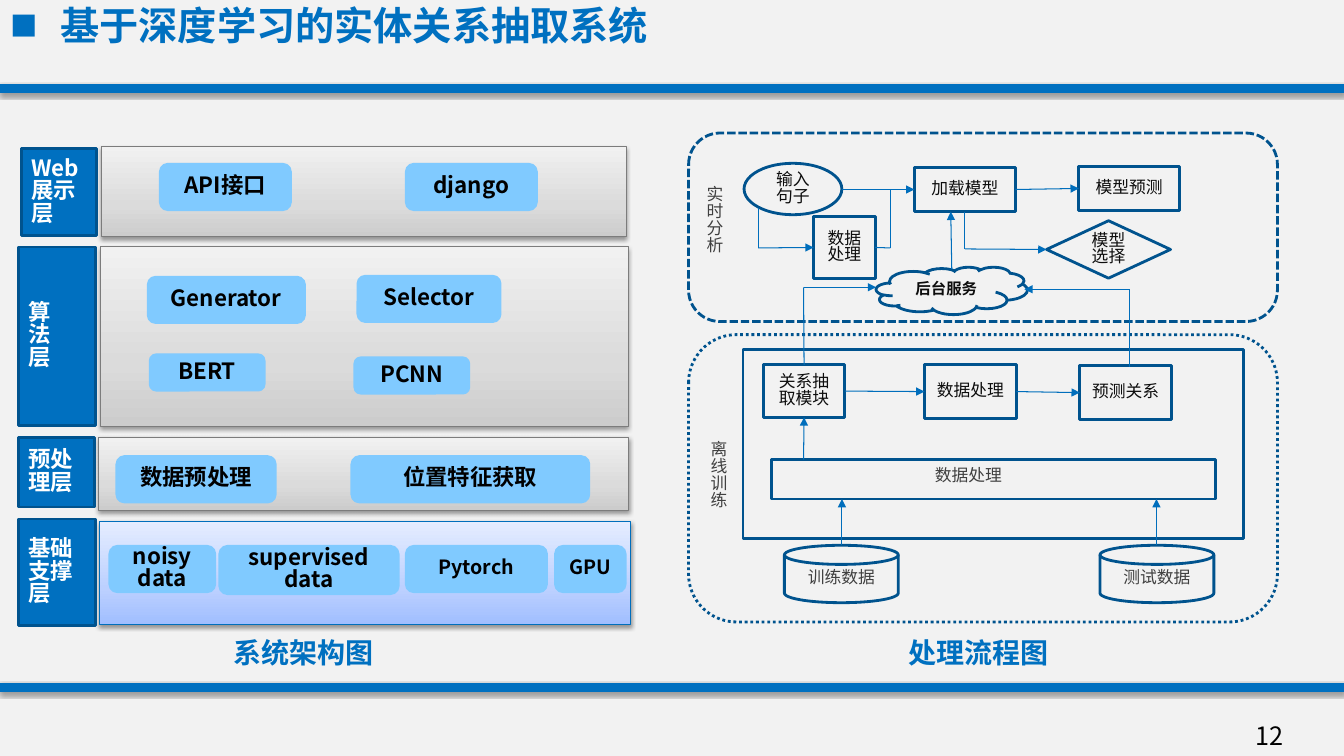
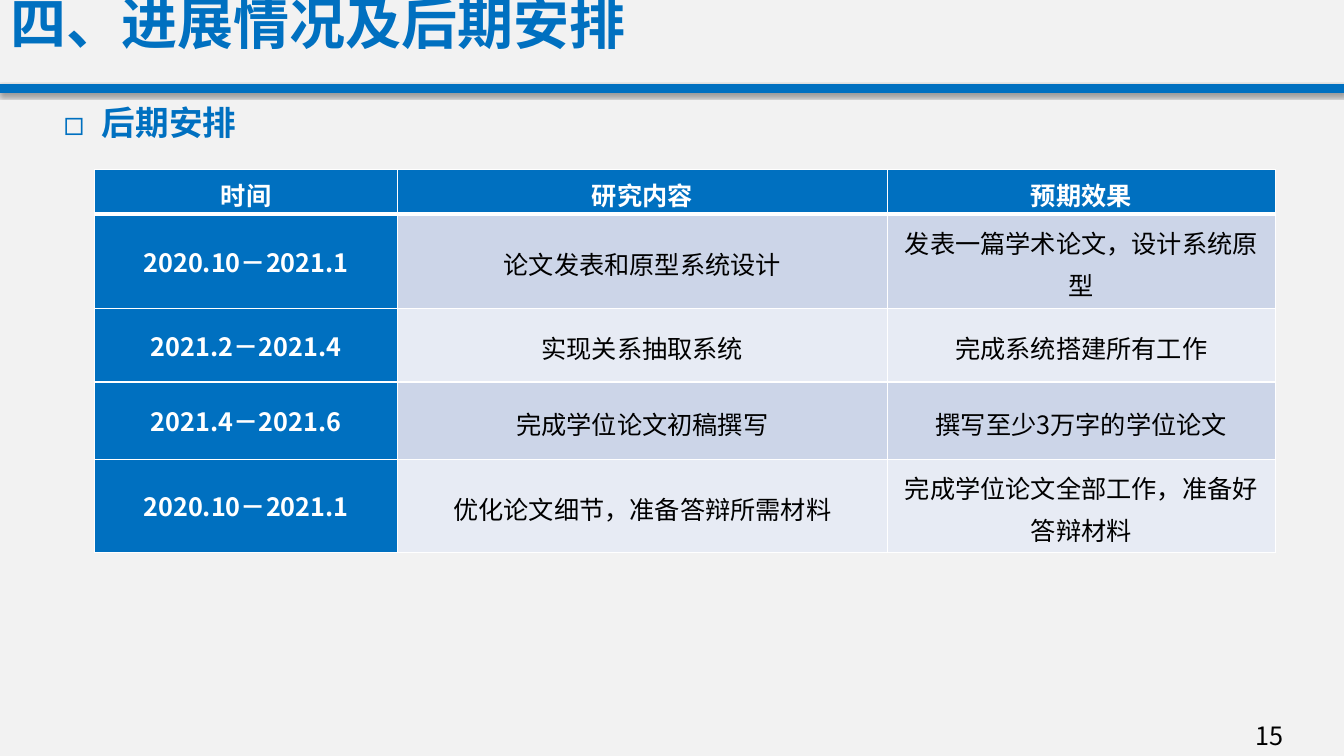
from lxml import etree
from pptx import Presentation
from pptx import util as u
from pptx.dml.color import RGBColor
from pptx.enum import dml, shapes, text
from pptx.oxml.ns import qn

In, Pt = u.Inches, u.Pt
Form, Align, Mid = shapes.MSO_SHAPE, text.PP_ALIGN, text.MSO_ANCHOR
NOTO = "Noto Sans CJK SC"
BLUE, NAVY, THIN, SKY = "0070C0", "00538E", "006EBC", "80CAFF"
WHITE, BLACK, INK, GREY = "FFFFFF", "000000", "0D0D0D", "404040"
STEEL = ["CCCCCC", "DBDBDB", "F1F1F1"]
ICE = ["A0BEFF", "BCD0FF", "E5EDFF"]
TIGHT = 0.83

LAYERS = [
    (["Web展示层"], (0.21, 1.47, 0.75, 0.87), (1.01, 1.45, 5.2, 0.9), STEEL, "7C7C7C", [
        (["API接口"], (1.59, 1.63, 1.29, 0.45), 16),
        (["django"], (4.03, 1.63, 1.29, 0.45), 16)]),
    (["算", "法", "层"], (0.18, 2.45, 0.77, 1.77), (1, 2.45, 5.23, 1.78), STEEL, "7C7C7C", [
        (["Generator"], (1.47, 2.75, 1.55, 0.45), 16),
        (["Selector"], (3.55, 2.74, 1.41, 0.45), 16),
        (["BERT"], (1.49, 3.52, 1.13, 0.35), 16),
        (["PCNN"], (3.52, 3.55, 1.13, 0.35), 16)]),
    (["预处理层"], (0.18, 4.34, 0.76, 0.69), (0.98, 4.34, 5.25, 0.72), STEEL, "7C7C7C", [
        (["数据预处理"], (1.16, 4.53, 1.57, 0.45), 16),
        (["位置特征获取"], (3.49, 4.53, 2.35, 0.45), 16)]),
    (["基础支撑层"], (0.18, 5.15, 0.77, 1.06), (0.99, 5.17, 5.26, 1.03), ICE, THIN, [
        (["noisy data"], (1.09, 5.42, 1.04, 0.45), 16),
        (["supervised", "data"], (2.18, 5.42, 1.77, 0.47), 16),
        (["Pytorch"], (4.03, 5.42, 1.39, 0.45), 14),
        (["GPU"], (5.51, 5.42, 0.69, 0.45), 14)]),
]
FRAMES = [
    (Form.ROUNDED_RECTANGLE, (6.83, 1.32, 5.84, 1.87), dml.MSO_LINE.SQUARE_DOT),
    (Form.ROUNDED_RECTANGLE, (6.83, 3.32, 5.84, 2.85), dml.MSO_LINE.ROUND_DOT),
    (Form.RECTANGLE, (7.37, 3.47, 4.96, 1.87), None),
    (Form.RECTANGLE, (7.65, 4.56, 4.41, 0.39), None),
]
BOXES = [
    (Form.RECTANGLE, "数据处理", (8.07, 2.15, 0.61, 0.61)),
    (Form.RECTANGLE, "加载模型", (9.07, 1.66, 1, 0.44)),
    (Form.RECTANGLE, "模型预测", (10.7, 1.65, 1, 0.44)),
    (Form.FLOWCHART_DECISION, "模型选择", (10.38, 2.19, 1.23, 0.57)),
    (Form.RECTANGLE, "关系抽取模块", (7.57, 3.62, 0.81, 0.52)),
    (Form.RECTANGLE, "数据处理", (9.17, 3.62, 0.91, 0.53)),
    (Form.RECTANGLE, "预测关系", (10.71, 3.63, 0.91, 0.53)),
]
ROUNDS = [
    (Form.OVAL, "输入句子", (7.38, 1.62, 0.97, 0.51), 12, INK, False, NOTO),
    (Form.CLOUD, "后台服务", (8.69, 2.65, 1.5, 0.47), 11, INK, True, "Times New Roman"),
    (Form.FLOWCHART_MAGNETIC_DISK, "训练数据", (7.78, 5.41, 1.13, 0.57), 12, GREY, False, NOTO),
    (Form.FLOWCHART_MAGNETIC_DISK, "测试数据", (10.91, 5.41, 1.13, 0.57), 12, GREY, False, NOTO),
]
LABELS = [
    ("数据处理", (8.91, 4.6, 1.39, 0.3), Align.CENTER),
    ("实时分析", (6.91, 1.81, 0.42, 0.91), Align.LEFT),
    ("离线训练", (6.95, 4.34, 0.42, 0.91), Align.LEFT),
]
ROUTES = [
    ([(8.35, 1.88), (9.07, 1.88)], True),
    ([(7.52, 2.06), (7.52, 2.46), (8.07, 2.46)], True),
    ([(8.68, 2.46), (8.83, 2.46), (8.83, 1.88)], False),
    ([(10.07, 1.88), (10.7, 1.87)], True),
    ([(9.57, 2.1), (9.57, 2.47), (10.38, 2.47)], True),
    ([(9.44, 2.67), (9.43, 2.1)], True),
    ([(7.97, 3.62), (7.97, 2.85), (8.69, 2.85)], True),
    ([(11.2, 3.64), (11.2, 2.87), (10.16, 2.87)], True),
    ([(8.38, 3.88), (9.17, 3.89)], True),
    ([(10.08, 3.89), (10.71, 3.9)], True),
    ([(7.97, 4.56), (7.97, 4.14)], True),
    ([(8.35, 5.41), (8.35, 4.95)], True),
    ([(11.47, 5.41), (11.47, 4.95)], True),
]
CAPTIONS = [("系统架构图", 2.22), ("处理流程图", 8.91)]
PLAN = [
    ("时间", "研究内容", "预期效果"),
    ("2020.10－2021.1", "论文发表和原型系统设计", "发表一篇学术论文，设计系统原型"),
    ("2021.2－2021.4", "实现关系抽取系统", "完成系统搭建所有工作"),
    ("2021.4－2021.6", "完成学位论文初稿撰写", "撰写至少3万字的学位论文"),
    ("2020.10－2021.1", "优化论文细节，准备答辩所需材料", "完成学位论文全部工作，准备好答辩材料"),
]
COLS = [3, 4.86, 3.85]
ROWS = [0.44, 0.94, 0.73, 0.77, 0.92]


def rgb(code):
    return RGBColor.from_string(code)


def sub(node, tag, **attrs):
    return etree.SubElement(node, qn(tag), attrs)


def solid(node, code):
    sub(sub(node, "a:solidFill"), "a:srgbClr", val=code)


def write(frame, lines, size, color, bold=False, align=Align.LEFT,
          face=NOTO, space=TIGHT):
    for i, line in enumerate(lines):
        para = frame.paragraphs[0] if i == 0 else frame.add_paragraph()
        para.alignment, para.line_spacing = align, space
        para.space_before = Pt(0)
        run = para.add_run()
        run.text = line
        font = run.font
        font.size, font.bold, font.name = Pt(size), bold, face
        font.color.rgb = rgb(color)
        sub(run._r.get_or_add_rPr(), "a:ea", typeface=NOTO)


def bullet(para, mark, hang, scale):
    props = para._p.get_or_add_pPr()
    props.set("marL", str(In(hang)))
    props.set("indent", str(-In(hang)))
    sub(props, "a:buSzPct", val=str(scale * 1000))
    sub(props, "a:buFont", typeface=NOTO)
    sub(props, "a:buChar", char=mark)


def shade(effect):
    cast = sub(effect, "a:outerShdw", blurRad="40000", dist="20000",
               dir="5400000", rotWithShape="0")
    sub(sub(cast, "a:srgbClr", val=BLACK), "a:alpha", val="38000")


def place(shape, box):
    shape.left, shape.top, shape.width, shape.height = map(In, box)


def draw(slide, form, box, line, width=2, fill=None):
    shape = slide.shapes.add_shape(form, *map(In, box))
    shape.shadow.inherit = False
    shape.line.color.rgb, shape.line.width = rgb(line), Pt(width)
    if fill:
        shape.fill.solid()
        shape.fill.fore_color.rgb = rgb(fill)
    else:
        shape.fill.background()
    frame = shape.text_frame
    frame.word_wrap, frame.vertical_anchor = True, Mid.MIDDLE
    return shape


def panel(slide, box, stops, line):
    shape = draw(slide, Form.RECTANGLE, box, line, 0.75)
    shape.fill.gradient()
    shape.fill.gradient_angle = 90
    props = shape._element.spPr
    ramp = props.find(qn("a:gradFill")).find(qn("a:gsLst"))
    for stop in list(ramp):
        ramp.remove(stop)
    for pos, code in zip((0, 35, 100), stops):
        sub(sub(ramp, "a:gs", pos=str(pos * 1000)), "a:srgbClr", val=code)
    shade(props.find(qn("a:effectLst")))


def note(slide, box, lines, size, color, bold=False, align=Align.LEFT, anchor=Mid.TOP):
    frame = slide.shapes.add_textbox(*map(In, box)).text_frame
    frame.word_wrap, frame.vertical_anchor = True, anchor
    write(frame, lines, size, color, bold, align)


def link(slide, start, end, color, width, head=False):
    wire = slide.shapes.add_connector(shapes.MSO_CONNECTOR.STRAIGHT, *map(In, start + end))
    wire.line.color.rgb, wire.line.width = rgb(color), Pt(width)
    if head:
        sub(wire.line._get_or_add_ln(), "a:tailEnd", type="triangle")
    return wire, sub(wire._element.spPr, "a:effectLst")


def band(slide, y):
    shade(link(slide, (0, y), (13.33, y), BLUE, 6)[1])


def dock(point, nodes):
    for shape, (x, y, w, h) in nodes:
        sides = [(x + w / 2, y), (x, y + h / 2), (x + w / 2, y + h), (x + w, y + h / 2)]
        for i, (a, b) in enumerate(sides):
            if max(abs(point[0] - a), abs(point[1] - b)) < 0.02:
                return shape, i
    return None


def route(slide, points, head, nodes):
    last = len(points) - 2
    for i, (start, end) in enumerate(zip(points, points[1:])):
        wire = link(slide, start, end, THIN, 0.75, head and i == last)[0]
        first, final = dock(start, nodes), dock(end, nodes)
        if first:
            wire.begin_connect(*first)
        if final:
            wire.end_connect(*final)


def start(deck, layout, title, box, size, face, page):
    slide = deck.slides.add_slide(deck.slide_layouts[layout])
    head = slide.shapes.title
    place(head, box)
    frame = head.text_frame
    frame.auto_size, frame.vertical_anchor = text.MSO_AUTO_SIZE.NONE, Mid.TOP
    write(frame, [title], size, BLUE, True, face=face)
    band(slide, 0.88)
    note(slide, (9.72, 7.12, 3.11, 0.4), [page], 18, BLACK, align=Align.RIGHT, anchor=Mid.MIDDLE)
    return slide


def system(deck):
    slide = start(deck, 5, "基于深度学习的实体关系抽取系统", (0, 0.04, 13.06, 0.7), 28, NOTO, "12")
    bullet(slide.shapes.title.text_frame.paragraphs[0], "■", 0.5, 70)
    band(slide, 6.82)
    for name, x in CAPTIONS:
        note(slide, (x, 6.31, 2.96, 0.44), [name], 20, BLUE, True)
    for name, tab, box, stops, line, pills in LAYERS:
        panel(slide, box, stops, line)
        label = draw(slide, Form.RECTANGLE, tab, NAVY, fill=BLUE)
        write(label.text_frame, name, 16, WHITE, True)
        for lines, spot, size in pills:
            pill = draw(slide, Form.ROUNDED_RECTANGLE, spot, SKY, fill=SKY)
            write(pill.text_frame, lines, size, BLACK, True, Align.CENTER)
    for form, box, dash in FRAMES:
        frame = draw(slide, form, box, NAVY)
        if dash:
            frame.line.dash_style = dash
    nodes = []
    for form, name, box in BOXES:
        node = draw(slide, form, box, NAVY)
        write(node.text_frame, [name], 12, INK, align=Align.CENTER)
        nodes.append((node, box))
    for form, name, box, size, color, bold, face in ROUNDS:
        node = draw(slide, form, box, NAVY)
        write(node.text_frame, [name], size, color, bold, Align.CENTER, face)
    for name, box, align in LABELS:
        note(slide, box, [name], 12, GREY, align=align)
    for points, head in ROUTES:
        route(slide, points, head, nodes)


def border(cell, row):
    props = cell._tc.get_or_add_tcPr()
    thick = {"a:lnT": row == 1, "a:lnB": row == 0}
    for tag in ("a:lnL", "a:lnR", "a:lnT", "a:lnB"):
        solid(sub(props, tag, w=str(Pt(3 if thick.get(tag) else 1))), WHITE)


def schedule(deck):
    slide = start(deck, 1, "四、进展情况及后期安排", (0, -0.05, 6.67, 0.77), 40, "Arial", "15")
    body = slide.placeholders[1]
    place(body, (0.53, 1.03, 1.97, 0.5))
    body.text_frame.auto_size = text.MSO_AUTO_SIZE.NONE
    write(body.text_frame, ["后期安排"], 24, BLUE, True)
    bullet(body.text_frame.paragraphs[0], "◻", 0.38, 100)
    grid = slide.shapes.add_table(len(ROWS), len(COLS), In(0.94), In(1.68),
                                  In(sum(COLS)), In(sum(ROWS))).table
    grid.first_row = grid.horz_banding = False
    for col, width in zip(grid.columns, COLS):
        col.width = In(width)
    for r, (line, height) in enumerate(zip(PLAN, ROWS)):
        grid.rows[r].height = In(height)
        for c, words in enumerate(line):
            cell = grid.cell(r, c)
            lead = r == 0 or c == 0
            border(cell, r)
            cell.fill.solid()
            cell.fill.fore_color.rgb = rgb(BLUE if lead else ("E7EBF4", "CCD5E8")[r % 2])
            cell.margin_left = cell.margin_right = In(0.07)
            cell.margin_top = cell.margin_bottom = 0
            cell.vertical_anchor = Mid.MIDDLE
            write(cell.text_frame, [words], 18, WHITE if lead else BLACK, lead,
                  Align.CENTER, space=1.0 if c == 0 and r else 1.15)


def main():
    deck = Presentation()
    deck.slide_width, deck.slide_height = In(13.33), In(7.5)
    ground = deck.slide_master.background.fill
    ground.solid()
    ground.fore_color.rgb = rgb("F2F2F2")
    system(deck)
    schedule(deck)
    deck.save("out.pptx")


if __name__ == "__main__":
    main()
